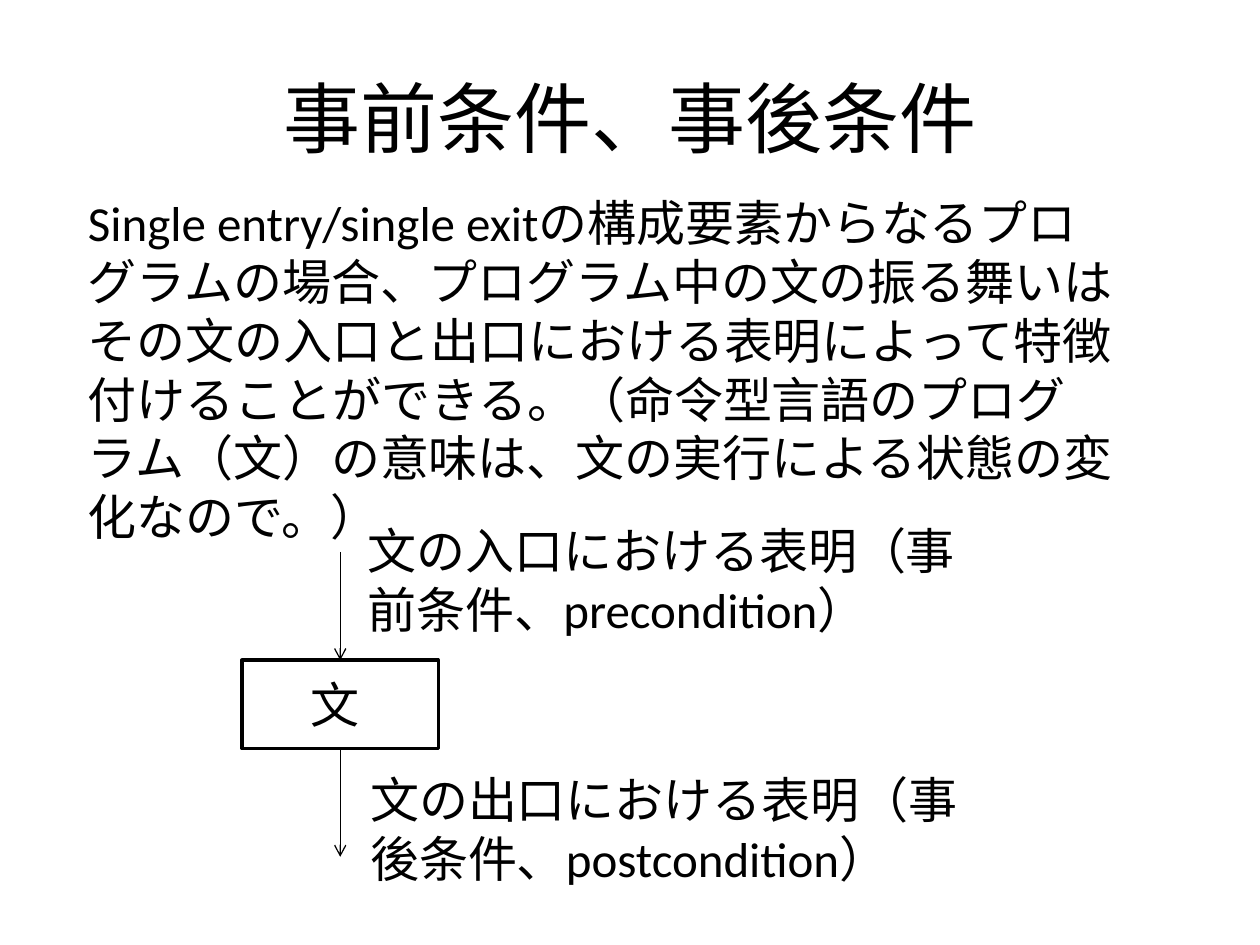
from lxml.etree import SubElement
from pptx import Presentation
from pptx.dml.color import RGBColor
from pptx.enum.shapes import MSO_CONNECTOR as Connector, MSO_SHAPE as Shape
from pptx.enum.text import MSO_ANCHOR as Anchor, MSO_AUTO_SIZE as AutoSize, PP_ALIGN as Align
from pptx.oxml.ns import qn
from pptx.util import Inches, Pt


def color(hex_string):
    return RGBColor.from_string(hex_string)


class ConditionSlide:
    font = "Calibri"
    ink = "000000"
    title_size = 44
    text_size = 28

    def __init__(self, prs):
        self.slide = prs.slides.add_slide(prs.slide_layouts[5])

    def add_words(self, frame, words, size, align):
        frame.word_wrap = True
        paragraph = frame.paragraphs[0]
        paragraph.alignment = align
        run = paragraph.add_run()
        run.text = words
        run.font.name = self.font
        run.font.size = Pt(size)
        run.font.color.rgb = color(self.ink)

    def title(self, words, left, top, width, height):
        title = self.slide.shapes.title
        title.left, title.top = Inches(left), Inches(top)
        title.width, title.height = Inches(width), Inches(height)
        title.text_frame.vertical_anchor = Anchor.MIDDLE
        self.add_words(title.text_frame, words, self.title_size, Align.CENTER)

    def text(self, words, left, top, width, height):
        box = self.slide.shapes.add_textbox(
            Inches(left), Inches(top), Inches(width), Inches(height))
        self.add_words(box.text_frame, words, self.text_size, Align.LEFT)
        box.text_frame.auto_size = AutoSize.SHAPE_TO_FIT_TEXT

    def box(self, words, left, top, width, height):
        box = self.slide.shapes.add_shape(
            Shape.RECTANGLE, Inches(left), Inches(top), Inches(width), Inches(height))
        box.shadow.inherit = False
        box.fill.background()
        box.line.color.rgb = color(self.ink)
        box.line.width = Pt(2)
        box.text_frame.vertical_anchor = Anchor.MIDDLE
        self.add_words(box.text_frame, words, self.text_size, Align.CENTER)
        return box

    def arrow(self, x, top, bottom):
        arrow = self.slide.shapes.add_connector(
            Connector.STRAIGHT, Inches(x), Inches(top), Inches(x), Inches(bottom))
        arrow.line.color.rgb = color(self.ink)
        arrow.line.width = Pt(0.75)
        properties = arrow.element.spPr
        SubElement(properties.find(qn("a:ln")), qn("a:tailEnd"), type="arrow")
        SubElement(properties, qn("a:effectLst"))
        return arrow


def main():
    prs = Presentation()
    prs.slide_width, prs.slide_height = Inches(10), Inches(7.5)
    page = ConditionSlide(prs)

    # Title and explanation
    page.title("事前条件、事後条件", 0.5, 0.3, 9, 1.25)
    page.text(
        "Single entry/single exitの構成要素からなるプログラムの場合、"
        "プログラム中の文の振る舞いはその文の入口と出口における表明によって"
        "特徴付けることができる。（命令型言語のプログラム（文）の意味は、"
        "文の実行による状態の変化なので。）",
        0.6, 1.48, 8.33, 2.46)

    # Statement with its entry and exit
    left, top, width, height = 1.92, 5.24, 1.56, 0.7
    center, bottom, arrow_length = left + width / 2, top + height, 0.86
    statement = page.box("文 ", left, top, width, height)
    entry = page.arrow(center, top - arrow_length, top)
    entry.end_connect(statement, 0)
    exit_arrow = page.arrow(center, bottom, bottom + arrow_length)
    exit_arrow.begin_connect(statement, 2)

    # Assertions at the exit and the entry
    page.text("文の出口における表明（事後条件、postcondition）", 2.84, 6.06, 5.04, 1.04)
    page.text("文の入口における表明（事前条件、precondition）", 2.82, 4.08, 5.01, 1.04)

    prs.save("out.pptx")


if __name__ == "__main__":
    main()
